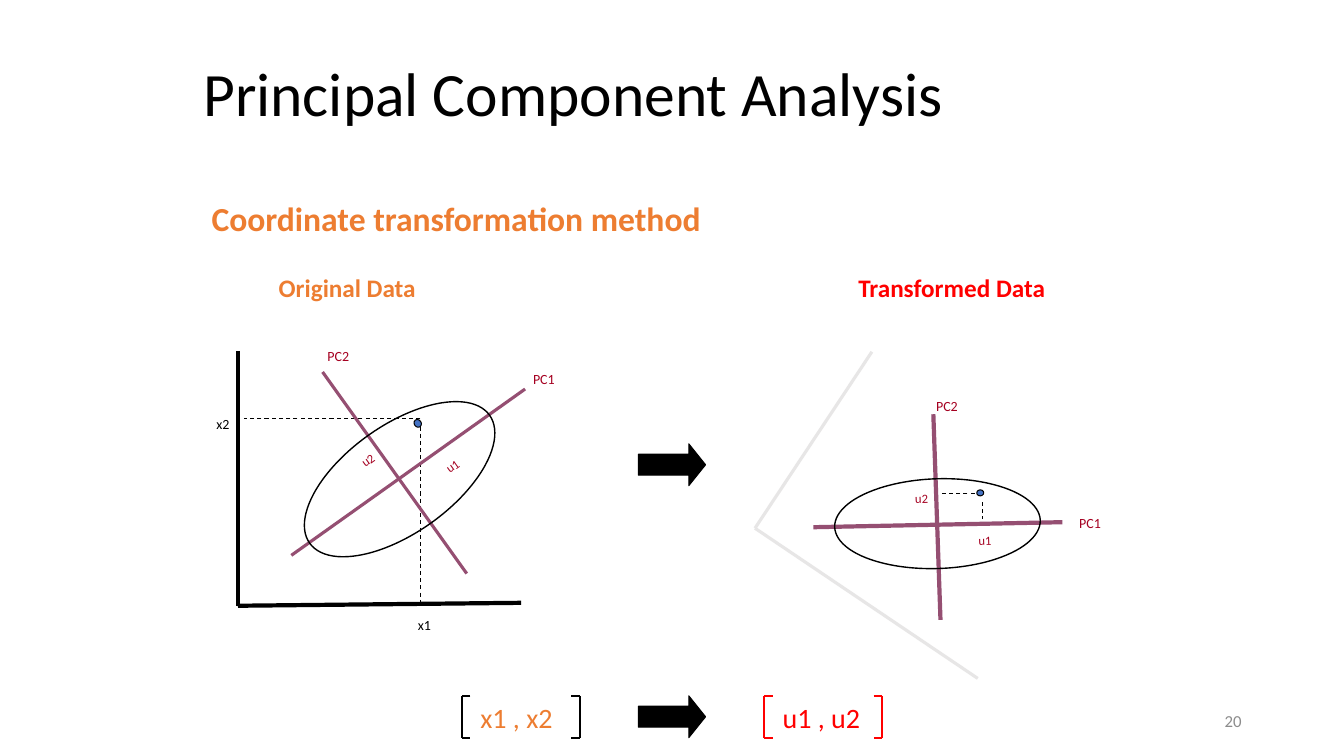
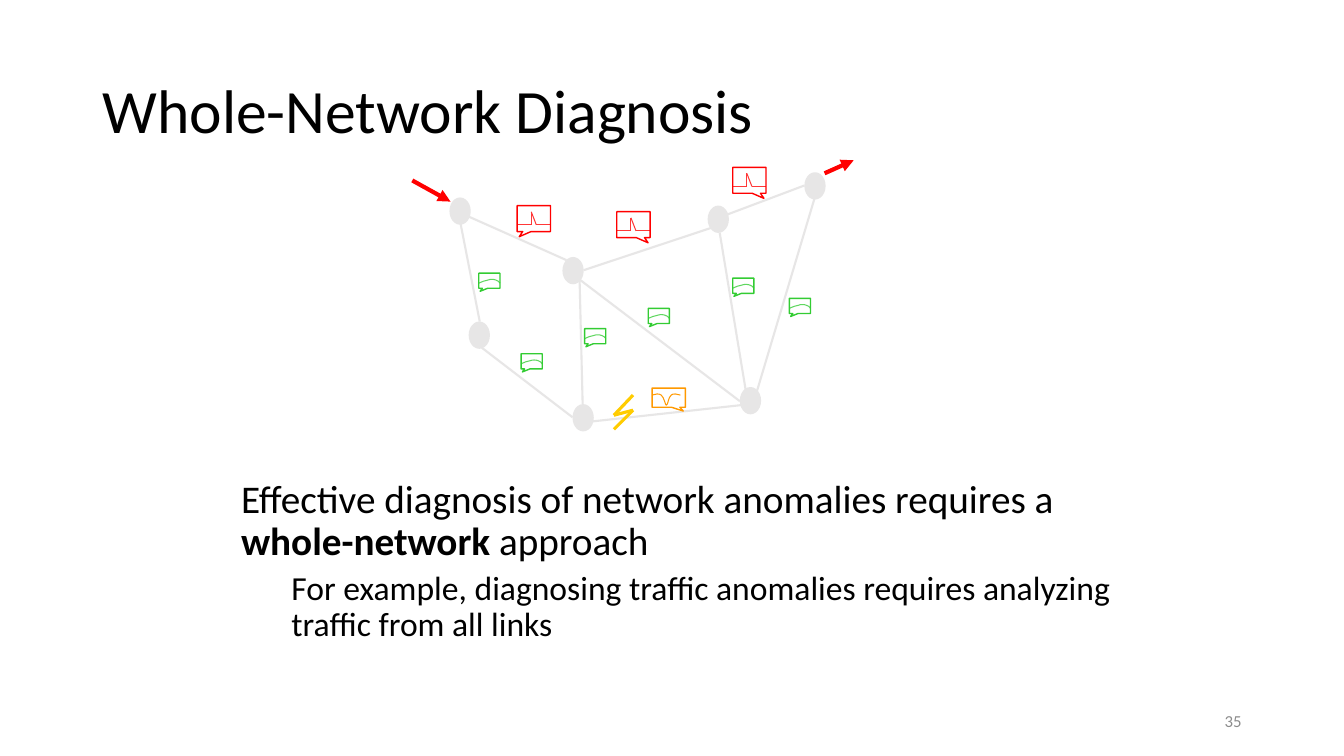
from lxml.etree import SubElement as Sub
from pptx import Presentation
from pptx.dml.color import RGBColor as Rgb
from pptx.enum.dml import MSO_LINE as Dash
from pptx.enum.shapes import MSO_CONNECTOR as Conn, MSO_SHAPE as Form
from pptx.enum.text import MSO_ANCHOR as Anchor, MSO_AUTO_SIZE as Auto, PP_ALIGN as Align
from pptx.oxml.ns import qn
from pptx.util import Pt

FONT = "Calibri"
BLACK, WHITE, GREY, PALE = "000000", "FFFFFF", "8C8C8C", "E7E6E6"
ORANGE, RED, PLUM, WINE, BLUE = "ED7D31", "FF0000", "954F72", "A50021", "4472C4"
GREEN, AMBER, GOLD = "33CC33", "FF9900", "FFCC00"

BEFORE = {
    "dashes": [[(130.2, 54.6), (130.2, 180.6)], [(130.2, 48.8), (4.2, 48.8)]],
    "axes": ([(0, 0.6), (0, 182.7), (202.2, 180.6)], BLACK, 3),
    "oval": (36.6, 53.8, 157.7, 77),
    "comps": [[(38.1, 146.7), (205.1, 27.9)], [(60.4, 15.7), (163.4, 159.7)]],
    "weight": 2.25,
    "dot": (125.9, 49.5, 5, 5.8),
    "turn": -35.4,
    "labels": [
        ("x1", 133.2, 187, 10, BLACK, 0),
        ("x2", -10.8, 43, 10, BLACK, 0),
        ("u1", 150.8, 74.7, 9, WINE, -35.4),
        ("u2", 90.3, 70.4, 9, WINE, -35.4),
        ("PC1", 218.5, 11.4, 10, WINE, 0),
        ("PC2", 71.6, -5.2, 10, WINE, 0),
    ],
}
AFTER = {
    "dashes": [[(157.2, 101.8), (132.8, 101.8)], [(163, 107.6), (163, 119.8)]],
    "axes": ([(83.8, 0.3), (0.3, 126.3), (159.4, 233.6)], PALE, 2.25),
    "oval": (57.2, 91, 146.9, 64.1),
    "comps": [[(127.7, 44.9), (132.8, 191.8)], [(42, 125.6), (219.9, 122)]],
    "weight": 3,
    "dot": (158.7, 98.9, 5, 4.3),
    "turn": -1.9,
    "labels": [
        ("u1", 164.4, 126.3, 9, WINE, -1.9),
        ("u2", 119.1, 96, 9, WINE, -1.9),
        ("PC1", 239.6, 112.6, 10, WINE, 0),
        ("PC2", 137.4, 29.1, 10, WINE, 0),
    ],
}

NODES = [(27.8, 27.8), (108.5, 70.3), (212.2, 33.6), (281.3, 9.8),
         (41.5, 116.4), (115.7, 175.4), (235.2, 163.2)]
LINKS = [
    [(35, 45.8), (48.7, 115.7)], [(50.2, 134.4), (115, 184.1)],
    [(110.6, 71.8), (39.4, 40.1)], [(214.3, 48.7), (122.9, 79)],
    [(287.8, 27.8), (246.7, 165.4)], [(120, 86.2), (122.2, 174.7)],
    [(120.7, 86.2), (234.5, 172.6)], [(225.1, 39.4), (280.6, 18.5)],
    [(220.1, 52.3), (239.5, 169.7)], [(129.4, 187), (235.2, 175.4)],
]
ALARMS = [(75.4, 32.9, -1), (229.4, 5.5, 1), (146.6, 37.2, 1)]
CALMS = [(48, 81.1), (78.2, 138.7), (123.6, 120.7),
         (169, 106.3), (229.4, 84.7), (269.8, 99.1)]
FLOWS = [[(0.5, 14.9), (27.8, 30)], [(295, 9.8), (315.8, 0.5)]]
BOLT = [(158.2, 168.2), (144.5, 182.6), (158.2, 179), (144.5, 192.7)]
SPIKE = [(0, 13.7), (10.1, 13.7), (10.1, 4.4), (13.7, 13.7), (23.8, 13.7)]
HUMP = [(0, 7.2), (2.2, 6.5), (4.3, 5), (6.5, 5), (7.9, 4.3),
        (10.8, 4.3), (12.2, 5), (13.7, 5), (14.4, 6.5), (15.1, 7.2)]
DIP = [(0, 5), (2.2, 4.3), (5, 3.6), (6.5, 5), (8.6, 6.5), (9.4, 12.2), (10.1, 12.2),
       (11.5, 12.2), (11.5, 6.5), (13.7, 5), (15.1, 3.6), (18, 4.3), (20.2, 5)]


def tint(fill, tone):
    """Fill a shape, line or font with one hex colour."""
    fill.solid()
    fill.fore_color.rgb = Rgb.from_string(tone)


def style(para, size, tone, bold=False):
    """Format every run of a paragraph."""
    for run in para.runs:
        run.font.name, run.font.size, run.font.bold = FONT, Pt(size), bold
        tint(run.font.fill, tone)


def place(shape, box):
    """Move a shape to a box in points."""
    shape.left, shape.top, shape.width, shape.height = map(Pt, box)


def write(slide, text, box, size, tone, bold=False, wrap=True, align=Align.LEFT):
    """Add a one-paragraph text box."""
    area = slide.shapes.add_textbox(*map(Pt, box))
    area.text_frame.word_wrap = wrap
    para = area.text_frame.paragraphs[0]
    para.text, para.alignment = text, align
    style(para, size, tone, bold)
    return area


def label(slide, text, mid, top, size, tone, turn):
    """Write a small label centred on a point, without side insets."""
    area = write(slide, text, (mid - 12, top, 24, 10), size, tone,
                 wrap=False, align=Align.CENTER)
    area.text_frame.margin_left = area.text_frame.margin_right = 0
    area.rotation = turn


def trace(slide, x, y, dots, tone, width, dash=False, head=False):
    """Join offset points with straight connectors."""
    for (ax, ay), (bx, by) in zip(dots, dots[1:]):
        line = slide.shapes.add_connector(
            Conn.STRAIGHT, Pt(x + ax), Pt(y + ay), Pt(x + bx), Pt(y + by))
        tint(line.line.fill, tone)
        line.line.width = Pt(width)
        if dash:
            line.line.dash_style = Dash.DASH
        props = line.element.spPr
        if head:
            Sub(props.find(qn("a:ln")), qn("a:tailEnd"), type="triangle")
        Sub(props, qn("a:effectLst"))


def trim(shape, tone, width, fill=None):
    """Set outline and fill, and drop the shadow."""
    shape.shadow.inherit = False
    if fill:
        tint(shape.fill, fill)
    else:
        shape.fill.background()
    tint(shape.line.fill, tone)
    shape.line.width = Pt(width)


def draw(slide, form, box, tone, width, fill=None):
    """Add an outlined preset shape."""
    shape = slide.shapes.add_shape(form, *map(Pt, box))
    trim(shape, tone, width, fill)
    return shape


def curve(slide, x, y, knots, tone):
    """Draw chained cubic curves as a fine open outline."""
    first, *rest = [(Pt(x + dx), Pt(y + dy)) for dx, dy in knots]
    pen = slide.shapes.build_freeform(*first)
    pen.add_line_segments(rest, close=False)
    shape = pen.convert_to_shape()
    trim(shape, tone, 0.75)
    legs = list(shape.element.spPr.iter(qn("a:lnTo")))
    for at in range(0, len(legs), 3):
        track = legs[at].getparent()
        bend = Sub(track, qn("a:cubicBezTo"))
        for leg in legs[at:at + 3]:
            bend.append(leg[0])
            track.remove(leg)


def callout(slide, box, tone, side):
    """Add a sheer speech box with its tail on the given side."""
    shape = draw(slide, Form.RECTANGULAR_CALLOUT, box, tone, 1, WHITE)
    shape.adjustments[0], shape.adjustments[1] = 0.438 * side, 0.7
    Sub(next(shape.element.spPr.iter(qn("a:srgbClr"))), qn("a:alpha"), val="22000")


def start(deck, layout, title, box, number):
    """Add a slide with its title and page number."""
    slide = deck.slides.add_slide(deck.slide_layouts[layout])
    head = slide.shapes.title
    place(head, box)
    frame = head.text_frame
    frame.text = title
    frame.auto_size, frame.vertical_anchor = Auto.NONE, Anchor.MIDDLE
    para = frame.paragraphs[0]
    para.alignment, para.line_spacing = Align.LEFT, 0.9
    style(para, 44, BLACK)
    page = write(slide, number, (678, 500.4, 216, 28.8), 12, GREY, align=Align.RIGHT)
    page.text_frame.vertical_anchor = Anchor.MIDDLE
    return slide


def plot(slide, x, y, parts):
    """Draw one data plot from its top-left corner."""
    for dots in parts["dashes"]:
        trace(slide, x, y, dots, BLACK, 0.75, dash=True)
    trace(slide, x, y, *parts["axes"])
    for dots in parts["comps"]:
        trace(slide, x, y, dots, PLUM, parts["weight"])
    for name, width, fill in (("oval", 1, None), ("dot", 0.75, BLUE)):
        left, top, wide, high = parts[name]
        shape = draw(slide, Form.OVAL, (x + left, y + top, wide, high), BLACK, width, fill)
        shape.rotation = parts["turn"]
    for text, mid, top, *look in parts["labels"]:
        label(slide, text, x + mid, y + top, *look)


def vector(slide, x, y, text, tone, edge):
    """Write a pair of values between square brackets."""
    write(slide, text, (x + 6, y, 84, 31), 20, tone)
    for side, tip in ((0, 6), (84, 78)):
        trace(slide, x, y, [(tip, 0), (side, 0), (side, 30.2), (tip, 30.2)], edge, 1.5)


def network(slide, x, y):
    """Draw the network with its traffic on each link."""
    for dots in LINKS:
        trace(slide, x, y, dots, PALE, 1.5)
    for left, top in NODES:
        draw(slide, Form.OVAL, (x + left, y + top, 13.7, 18), PALE, 1.5, PALE)
    for left, top, side in ALARMS:
        trace(slide, x + left, y + top, SPIKE, RED, 0.75)
        callout(slide, (x + left, y + top, 23.8, 18.5), RED, side)
    for left, top in CALMS:
        curve(slide, x + left, y + top, HUMP, GREEN)
        callout(slide, (x + left, y + top, 15.1, 10.8), GREEN, -1)
    callout(slide, (x + 171.8, y + 163.2, 23.8, 13.7), AMBER, 1)
    curve(slide, x + 171.8, y + 163.2, DIP, AMBER)
    for dots in FLOWS:
        trace(slide, x, y, dots, RED, 3, head=True)
    trace(slide, x, y, BOLT, GOLD, 2.25)


def points(slide, box, items):
    """Fill the body with unbulleted points by level."""
    body = slide.placeholders[1]
    place(body, box)
    frame = body.text_frame
    frame.auto_size = Auto.NONE
    for at, (level, size, gap, inset, texts) in enumerate(items):
        para = frame.add_paragraph() if at else frame.paragraphs[0]
        para.level, para.line_spacing, para.space_before = level, 0.9, Pt(gap)
        for text in texts:
            para.add_run().text = text
        style(para, size, BLACK)
        props = para._p.get_or_add_pPr()
        props.set("marL", str(int(Pt(inset))))
        props.set("indent", "0")
        Sub(props, qn("a:buNone"))
    frame.paragraphs[0].runs[1].font.bold = True


def analysis(deck):
    """Build the slide on component analysis."""
    slide = start(deck, 5, "Principal Component Analysis", (138, 24, 696, 90), "20")
    write(slide, "Coordinate transformation method", (144, 138, 624, 36), 24, ORANGE, True)
    write(slide, "Original Data", (192, 191, 113, 29), 18, ORANGE, True, False)
    write(slide, "Transformed Data", (606, 191, 149, 29), 18, RED, True, False)
    plot(slide, 170, 250, BEFORE)
    plot(slide, 539, 251, AFTER)
    for top in (317, 497):
        arrow = draw(slide, Form.RIGHT_ARROW, (456, top, 48, 30), BLACK, 0.75, BLACK)
        arrow.adjustments[1] = 0.4
    vector(slide, 330, 497, "x1 , x2", ORANGE, BLACK)
    vector(slide, 546, 497, "u1 , u2", RED, RED)


def diagnosis(deck):
    """Build the slide on network diagnosis."""
    slide = start(deck, 1, "Whole-Network Diagnosis", (66, 29, 828, 104), "35")
    points(slide, (147, 339, 657, 145), [
        (0, 28, 0, 18, ["Effective diagnosis of network anomalies requires a ",
                        "whole-network", " approach"]),
        (1, 24, 5, 54, ["For example, diagnosing traffic anomalies requires "
                        "analyzing traffic from all links"]),
    ])
    network(slide, 294, 114)


def main():
    """Build and save the deck."""
    deck = Presentation()
    deck.slide_width, deck.slide_height = Pt(960), Pt(540)
    analysis(deck)
    diagnosis(deck)
    deck.save("out.pptx")


if __name__ == "__main__":
    main()
